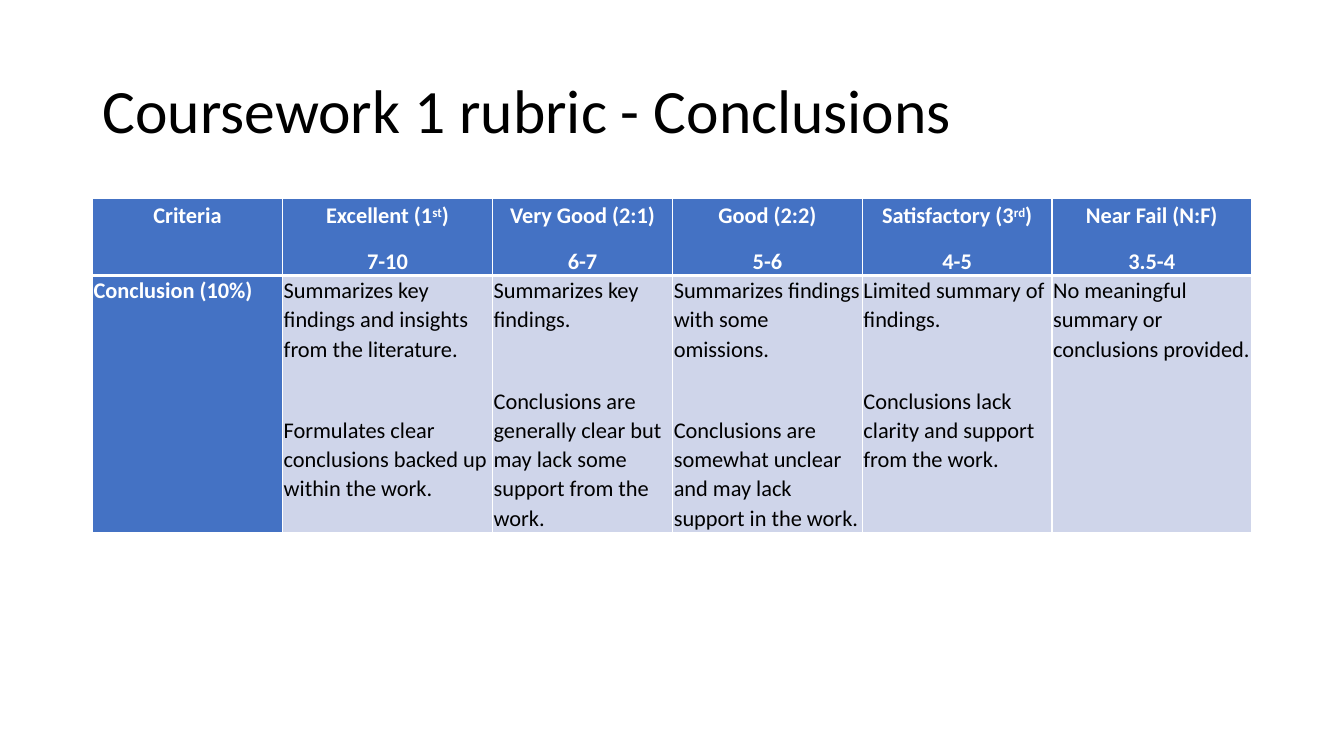
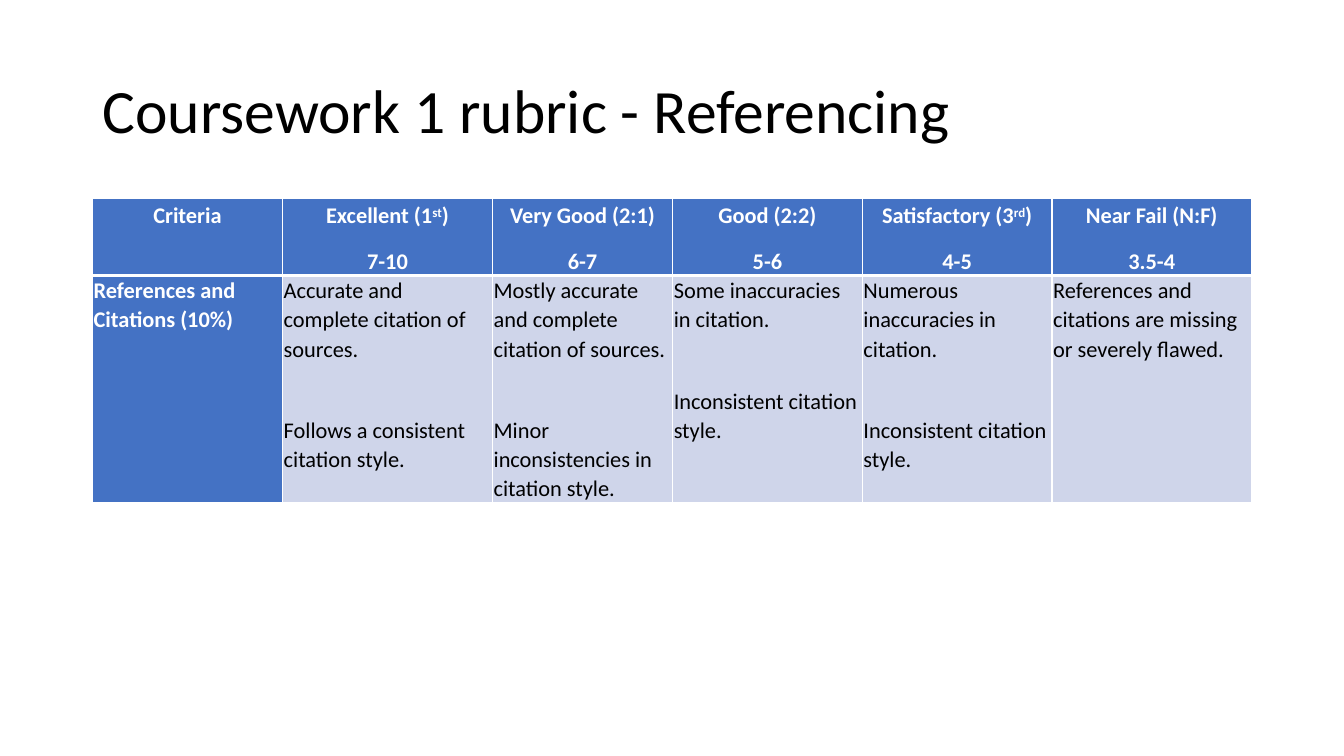
import dataclasses

import pptx
import pptx.dml.color
import pptx.enum.text
import pptx.oxml.ns
import pptx.util
from lxml import etree

Cm = pptx.util.Cm
Pt = pptx.util.Pt
RGBColor = pptx.dml.color.RGBColor
Align = pptx.enum.text.PP_ALIGN

# A cell is a list of paragraphs; a tuple holds text, superscript, text.
GRADES = [
    ["Criteria"],
    [("Excellent (1", "st", ")"), "7-10"],
    ["Very Good (2:1)", "6-7"],
    ["Good (2:2)", "5-6"],
    [("Satisfactory (3", "rd", ")"), "4-5"],
    ["Near Fail (N:F)", "3.5-4"],
]

RUBRICS = [
    {
        "title": "Coursework 1 rubric - Conclusions",
        "height": 6.45,
        "row": [
            ["Conclusion (10%)"],
            ["Summarizes key findings and insights from the literature.",
             "Formulates clear conclusions backed up within the work."],
            ["Summarizes key findings.",
             "Conclusions are generally clear but may lack some support from the work."],
            ["Summarizes findings with some omissions.",
             "Conclusions are somewhat unclear and may lack support in the work."],
            ["Limited summary of findings.",
             "Conclusions lack clarity and support from the work."],
            ["No meaningful summary or conclusions provided."],
        ],
    },
    {
        "title": "Coursework 1 rubric - Referencing",
        "height": 5.7,
        "row": [
            ["References and Citations (10%)"],
            ["Accurate and complete citation of sources.",
             "Follows a consistent citation style."],
            ["Mostly accurate and complete citation of sources.",
             "Minor inconsistencies in citation style."],
            ["Some inaccuracies in citation.",
             "Inconsistent citation style."],
            ["Numerous inaccuracies in citation.",
             "Inconsistent citation style."],
            ["References and citations are missing or severely flawed."],
        ],
    },
]


@dataclasses.dataclass(frozen=True)
class CellStyle:
    fill: str
    color: str
    bold: bool
    align: Align
    line_spacing: float
    space_after: float


@dataclasses.dataclass(frozen=True)
class Theme:
    font: str = "Calibri"
    title_size: int = 44
    cell_size: int = 16
    title_color: str = "000000"
    border: str = "FFFFFF"
    thin: int = 1
    thick: int = 3
    header: CellStyle = CellStyle("4472C4", "FFFFFF", True, Align.CENTER, 1.15, 10)
    criterion: CellStyle = CellStyle("4472C4", "FFFFFF", True, Align.LEFT, 1.07, 37)
    body: CellStyle = CellStyle("CFD5EA", "000000", False, Align.LEFT, 1.07, 37)


THEME = Theme()
LEFT, WIDTH = 2.33, 29.21
TITLE_TOP, TITLE_HEIGHT = 1.01, 3.68
TABLE_TOP, HEADER_HEIGHT = 5, 1.93
COLUMN_WIDTHS = [4.79, 5.29, 4.54, 4.78, 4.78, 5.03]


def format_font(font, size, color, bold=False):
    font.name = THEME.font
    font.size = Pt(size)
    font.bold = bold
    font.color.rgb = RGBColor.from_string(color)


def set_borders(cell, **widths):
    """Draw cell edges; widths in points are keyed L, R, T and B."""
    properties = cell._tc.get_or_add_tcPr()
    qn = pptx.oxml.ns.qn
    for side, width in widths.items():
        line = etree.SubElement(properties, qn(f"a:ln{side}"), w=str(Pt(width)))
        fill = etree.SubElement(line, qn("a:solidFill"))
        etree.SubElement(fill, qn("a:srgbClr"), val=THEME.border)


def add_spans(paragraph, content):
    parts = content if isinstance(content, tuple) else (content,)
    for index, part in enumerate(parts):
        span = paragraph.add_run()
        span.text = part
        if index == 1:
            span._r.get_or_add_rPr().set("baseline", "30000")


def fill_cell(cell, contents, style):
    cell.fill.solid()
    cell.fill.fore_color.rgb = RGBColor.from_string(style.fill)
    cell.margin_left = cell.margin_right = Cm(0.03)
    cell.margin_top = cell.margin_bottom = 0
    frame = cell.text_frame
    for index, content in enumerate(contents):
        paragraph = frame.add_paragraph() if index else frame.paragraphs[0]
        add_spans(paragraph, content)
        paragraph.alignment = style.align
        paragraph.line_spacing = style.line_spacing
        if index < len(contents) - 1:
            paragraph.space_after = Pt(style.space_after)
        format_font(paragraph.font, THEME.cell_size, style.color, style.bold)


def add_title(page, text):
    title = page.shapes.title
    title.left, title.top = Cm(LEFT), Cm(TITLE_TOP)
    title.width, title.height = Cm(WIDTH), Cm(TITLE_HEIGHT)
    frame = title.text_frame
    frame.text = text
    frame.auto_size = pptx.enum.text.MSO_AUTO_SIZE.NONE
    frame.vertical_anchor = pptx.enum.text.MSO_ANCHOR.MIDDLE
    paragraph = frame.paragraphs[0]
    paragraph.alignment = Align.LEFT
    paragraph.line_spacing = 0.9
    format_font(paragraph.font, THEME.title_size, THEME.title_color)


def add_rubric_table(page, row, body_height):
    heights = [HEADER_HEIGHT, body_height]
    table = page.shapes.add_table(
        len(heights), len(COLUMN_WIDTHS),
        Cm(LEFT), Cm(TABLE_TOP), Cm(WIDTH), Cm(sum(heights)),
    ).table
    table.first_row = table.first_col = True
    table.horz_banding = False
    for table_row, height in zip(table.rows, heights):
        table_row.height = Cm(height)
    for index, width in enumerate(COLUMN_WIDTHS):
        table.columns[index].width = Cm(width)
        header, body = table.cell(0, index), table.cell(1, index)
        thin, thick = THEME.thin, THEME.thick
        set_borders(header, L=thin, R=thin, T=thin, B=thick)
        set_borders(body, L=thin, R=thin, T=thick, B=thin)
        fill_cell(header, GRADES[index], THEME.header)
        fill_cell(body, row[index], THEME.body if index else THEME.criterion)


def main():
    deck = pptx.Presentation()
    deck.slide_width, deck.slide_height = Cm(33.87), Cm(19.05)
    title_only = deck.slide_layouts.get_by_name("Title Only")
    for rubric in RUBRICS:
        page = deck.slides.add_slide(title_only)
        add_title(page, rubric["title"])
        add_rubric_table(page, rubric["row"], rubric["height"])
    deck.save("out.pptx")


if __name__ == "__main__":
    main()
